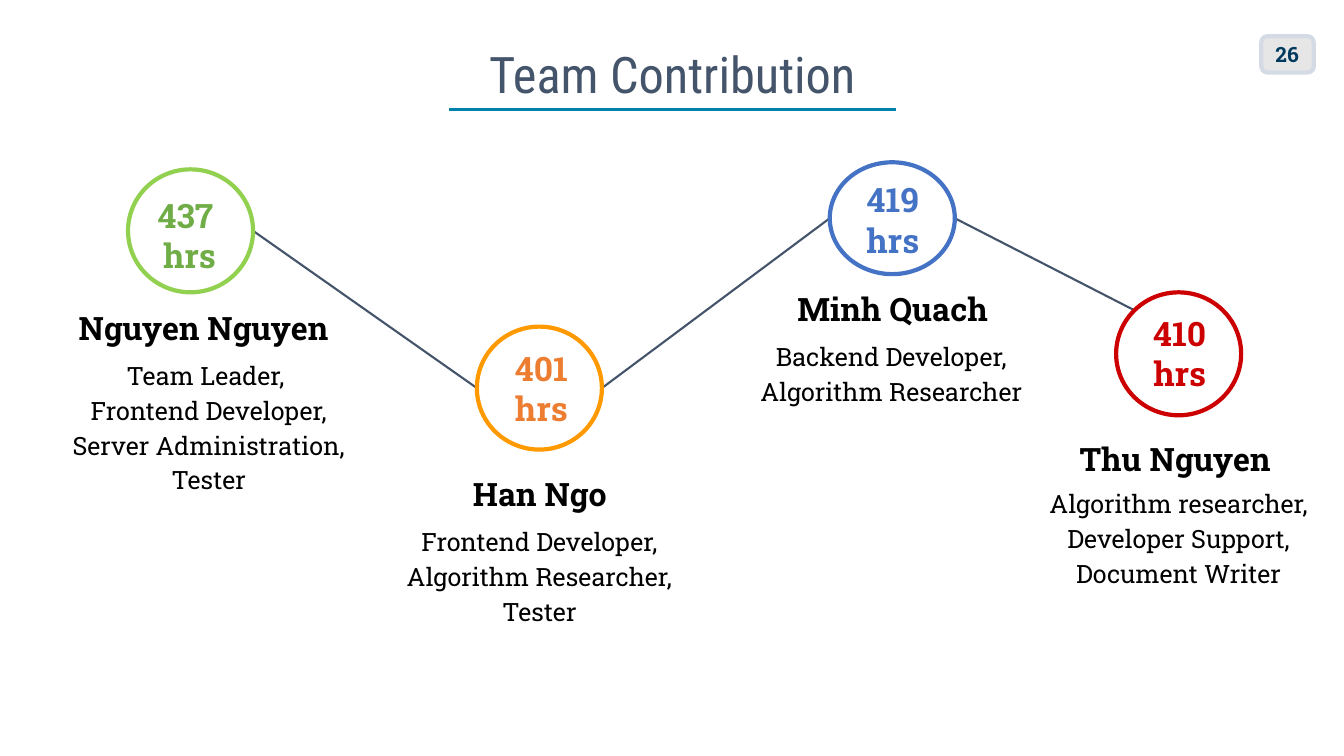
from dataclasses import dataclass

from lxml import etree
from pptx import Presentation
from pptx.dml.color import RGBColor
from pptx.enum.shapes import MSO_CONNECTOR, MSO_SHAPE
from pptx.enum.text import MSO_ANCHOR, MSO_AUTO_SIZE, PP_ALIGN
from pptx.oxml.ns import qn
from pptx.shapes.autoshape import Shape
from pptx.slide import Slide
from pptx.util import Inches, Pt

STRAIGHT = MSO_CONNECTOR.STRAIGHT
ELLIPSE, ROUNDED = MSO_SHAPE.OVAL, MSO_SHAPE.ROUNDED_RECTANGLE
TOP, MIDDLE, BOTTOM = MSO_ANCHOR.TOP, MSO_ANCHOR.MIDDLE, MSO_ANCHOR.BOTTOM
CENTER, RIGHT = PP_ALIGN.CENTER, PP_ALIGN.RIGHT
GROW = MSO_AUTO_SIZE.SHAPE_TO_FIT_TEXT

WHITE = RGBColor(0xFF, 0xFF, 0xFF)
BLACK = RGBColor(0x00, 0x00, 0x00)
SLATE = RGBColor(0x44, 0x54, 0x6A)
TEAL = RGBColor(0x00, 0x81, 0xAB)
NAVY = RGBColor(0x00, 0x3A, 0x5F)
BADGE_FILL = RGBColor(0xE7, 0xE6, 0xE6)
BADGE_LINE = RGBColor(0xD5, 0xDB, 0xE5)
LIME = RGBColor(0x92, 0xD0, 0x50)
GREEN = RGBColor(0x70, 0xAD, 0x47)
AMBER = RGBColor(0xFF, 0x99, 0x00)
ORANGE = RGBColor(0xED, 0x7D, 0x31)
BLUE = RGBColor(0x44, 0x72, 0xC4)
RED = RGBColor(0xCC, 0x00, 0x00)

TITLE_FONT, BODY_FONT = "Roboto Condensed", "Roboto Slab"
DIAGONAL = 0.5 ** 0.5


@dataclass(frozen=True)
class Box:
    left: float
    top: float
    width: float
    height: float

    def point(self, across: float, down: float) -> tuple[float, float]:
        """Point offset from the centre, in half widths and half heights."""
        return (self.left + self.width * (1 + across) / 2,
                self.top + self.height * (1 + down) / 2)


@dataclass(frozen=True)
class TextStyle:
    size: float
    color: RGBColor
    font: str = BODY_FONT
    bold: bool = False
    align: PP_ALIGN = CENTER
    anchor: MSO_ANCHOR = TOP
    spacing: float = 1.0
    vertical_inset: float = 0.1
    grow: bool = True


@dataclass(frozen=True)
class Member:
    name: str
    name_box: Box
    roles: list[str]
    roles_box: Box
    hours: list[str]
    hours_box: Box
    circle: Box
    outline: RGBColor
    hours_color: RGBColor


NAME_STYLE = TextStyle(23, BLACK, bold=True, spacing=1.15)
ROLES_STYLE = TextStyle(18, BLACK, spacing=1.15)
TITLE_STYLE = TextStyle(36, SLATE, TITLE_FONT, anchor=BOTTOM, spacing=0.9,
                        vertical_inset=0.05, grow=False)
NUMBER_STYLE = TextStyle(15, NAVY, bold=True, align=RIGHT, anchor=MIDDLE,
                         vertical_inset=0.05, grow=False)

MEMBERS = [
    Member("Nguyen Nguyen", Box(0.52, 2.9, 3, 0.59),
           ["Team Leader, ", "Frontend Developer, Server Administration,", "Tester"],
           Box(0.43, 3.43, 3.28, 1.55),
           ["437 ", "hrs"], Box(1.08, 1.83, 1.6, 1.01),
           Box(1.27, 1.68, 1.24, 1.22), LIME, GREEN),
    Member("Han Ngo", Box(4.03, 4.55, 2.65, 0.59),
           ["Frontend Developer, Algorithm Researcher,", "Tester"],
           Box(3.71, 5.08, 3.28, 1.2),
           ["401 hrs"], Box(4.75, 3.35, 1.24, 1.01),
           Box(4.73, 3.24, 1.24, 1.22), AMBER, ORANGE),
    Member("Minh Quach", Box(7.53, 2.71, 2.65, 0.59),
           ["Backend Developer, Algorithm Researcher"],
           Box(7.2, 3.24, 3.28, 0.85),
           ["419 hrs"], Box(8.36, 1.68, 0.99, 1.14),
           Box(8.23, 1.61, 1.24, 1.11), BLUE, BLUE),
    Member("Thu Nguyen ", Box(10.5, 4.2, 2.39, 0.59),
           ["Algorithm researcher, Developer Support,", "Document Writer"],
           Box(10.05, 4.7, 3.28, 1.2),
           ["410 hrs"], Box(11.14, 3, 1.12, 1.01),
           Box(11.07, 2.9, 1.24, 1.22), RED, RED),
]


def add_text(slide: Slide, box: Box, lines: list[str], style: TextStyle) -> None:
    shape = slide.shapes.add_textbox(Inches(box.left), Inches(box.top),
                                     Inches(box.width), Inches(box.height))
    frame = shape.text_frame
    frame.word_wrap = True
    frame.auto_size = GROW if style.grow else MSO_AUTO_SIZE.NONE
    frame.vertical_anchor = style.anchor
    frame.margin_left = frame.margin_right = Inches(0.1)
    frame.margin_top = frame.margin_bottom = Inches(style.vertical_inset)
    frame.text = "\n".join(lines)
    for paragraph in frame.paragraphs:
        paragraph.alignment = style.align
        paragraph.line_spacing = style.spacing
        paragraph.font.name = style.font
        paragraph.font.size = Pt(style.size)
        paragraph.font.bold = style.bold
        paragraph.font.color.rgb = style.color


def add_outlined(slide: Slide, kind: MSO_SHAPE, box: Box,
                 fill: RGBColor, line: RGBColor) -> Shape:
    shape = slide.shapes.add_shape(kind, Inches(box.left), Inches(box.top),
                                   Inches(box.width), Inches(box.height))
    shape.shadow.inherit = False
    shape.fill.solid()
    shape.fill.fore_color.rgb = fill
    shape.line.color.rgb = line
    shape.line.width = Pt(3)
    return shape


def add_line(slide: Slide, start: tuple[float, float], end: tuple[float, float],
             color: RGBColor, width: float) -> None:
    connector = slide.shapes.add_connector(
        STRAIGHT, *(Inches(value) for value in (*start, *end)))
    connector.line.color.rgb = color
    connector.line.width = Pt(width)
    properties = connector._element.find(qn("p:spPr"))
    etree.SubElement(properties, qn("a:effectLst"))


def add_member(slide: Slide, member: Member) -> None:
    add_outlined(slide, ELLIPSE, member.circle, WHITE, member.outline)
    add_text(slide, member.hours_box, member.hours,
             TextStyle(24, member.hours_color, bold=True))
    add_text(slide, member.name_box, [member.name], NAME_STYLE)
    add_text(slide, member.roles_box, member.roles, ROLES_STYLE)


def main() -> None:
    presentation = Presentation()
    presentation.slide_width = Inches(13.33)
    presentation.slide_height = Inches(7.5)
    slide = presentation.slides.add_slide(presentation.slide_layouts[6])

    # Title and its underline
    add_text(slide, Box(0.92, 0.33, 11.5, 0.76), ["Team Contribution"], TITLE_STYLE)
    add_line(slide, (4.45, 1.09), (8.89, 1.09), TEAL, 2.25)

    # Page number badge
    add_outlined(slide, ROUNDED, Box(12.51, 0.36, 0.52, 0.36), BADGE_FILL, BADGE_LINE)
    add_text(slide, Box(12.39, 0.34, 0.59, 0.4), ["26"], NUMBER_STYLE)

    # Lines between neighbouring circles; the last one meets its circle at the upper left
    entries = [(-1, 0), (-1, 0), (-DIAGONAL, -DIAGONAL)]
    for member, following, entry in zip(MEMBERS, MEMBERS[1:], entries):
        add_line(slide, member.circle.point(1, 0), following.circle.point(*entry),
                 SLATE, 1.5)

    # Team members
    for member in MEMBERS:
        add_member(slide, member)

    presentation.save("out.pptx")


if __name__ == "__main__":
    main()
